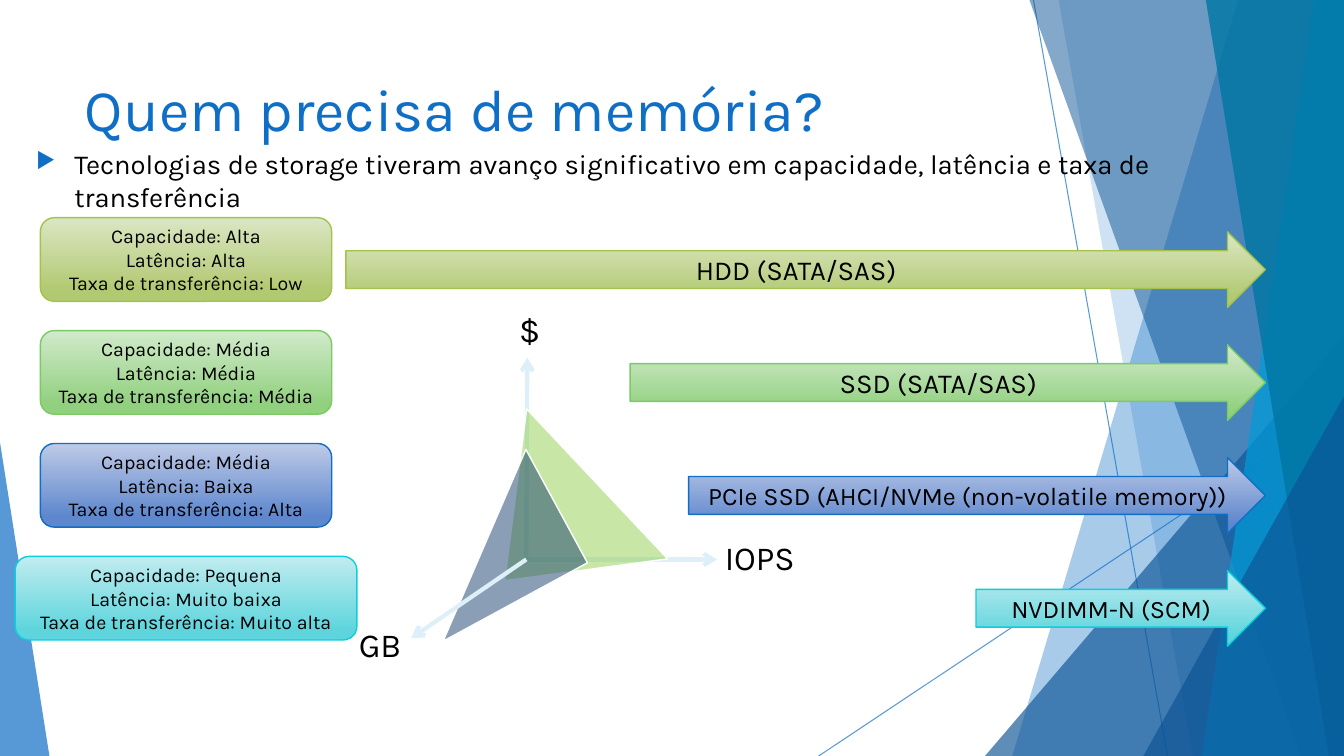
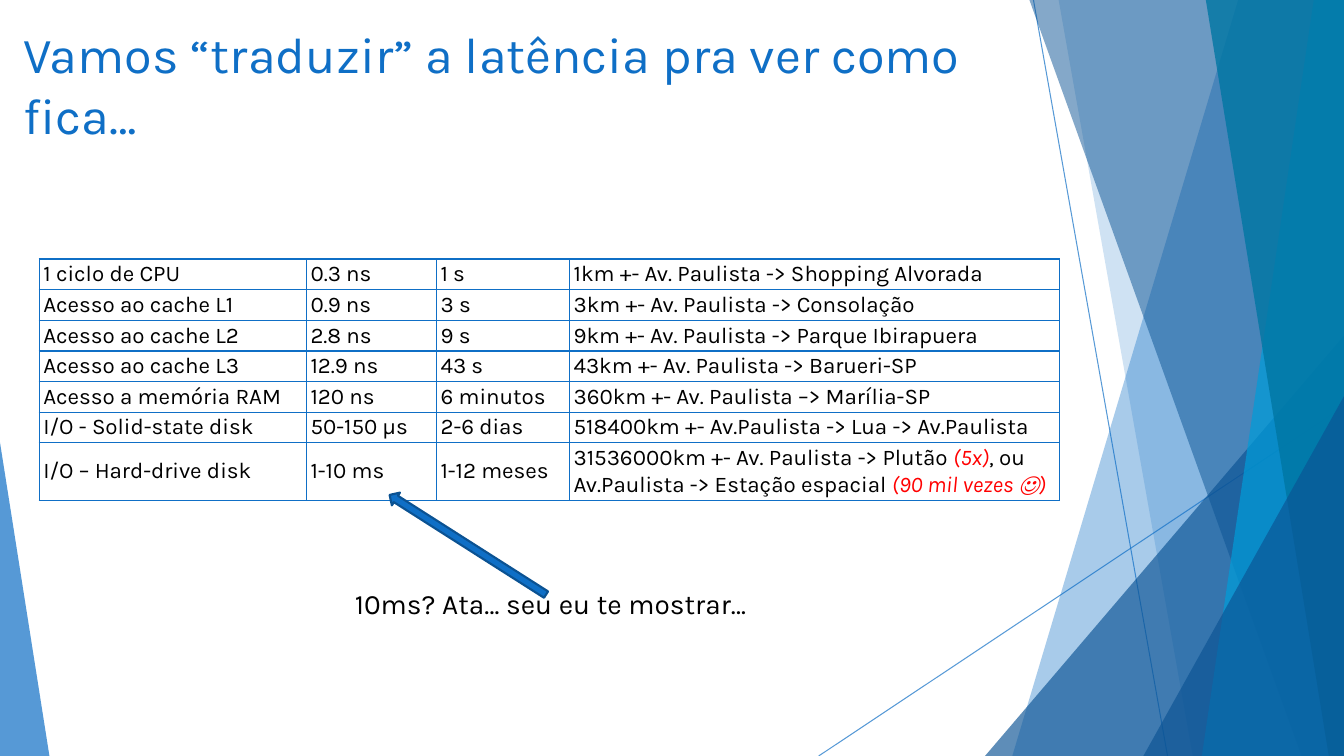
from typing import NamedTuple

from lxml.etree import SubElement
from pptx import Presentation
from pptx.dml.color import RGBColor
from pptx.enum.shapes import MSO_CONNECTOR as Link, MSO_SHAPE as Preset
from pptx.enum.text import MSO_ANCHOR as Anchor, MSO_AUTO_SIZE as AutoSize, PP_ALIGN as Align
from pptx.oxml.ns import qn
from pptx.util import Inches, Pt

CELL = 0.1
COLUMNS, ROWS = 133.3, 75
FONT = "Karla"
COLOURS = {
    "text": "000000", "white": "FFFFFF", "primary": "0F6FC6", "edge": "0B5292",
    "deep": "0B5394", "sky": "009DD9", "teal": "0076A3", "axis": "DDF0F9",
    "lime": "92D050", "navy": "17406D", "aside": "FF0000",
}
TIER_COLOURS = [
    ("DBE6C4", "B1C970", "A5C249"),
    ("D1EACB", "91D07F", "7CCA62"),
    ("BECAE7", "5E87CD", "0F6FC6"),
    ("C1ECEF", "5ED5DD", "0BD0D9"),
]
TIERS = [
    ("HDD (SATA/SAS)", 19.6, 34.3, (4, 28.9), ("Alta", "Alta", "Low")),
    ("SSD (SATA/SAS)", 19.6, 62.5, (4, 28.9), ("Média", "Média", "Média")),
    ("PCIe SSD (AHCI/NVMe (non-volatile memory))", 18, 68.3, (4, 28.9),
     ("Média", "Baixa", "Alta")),
    ("NVDIMM-N (SCM)", 18, 96.8, (1.5, 33.9), ("Pequena", "Muito baixa", "Muito alta")),
]
TRAITS = ("Capacidade", "Latência", "Taxa de transferência")
LATENCIES = [
    ("1 ciclo de CPU", "0.3 ns", "1 s", ["1km +- Av. Paulista -> Shopping Alvorada"]),
    ("Acesso ao cache L1", "0.9 ns", "3 s", ["3km +- Av. Paulista -> Consolação"]),
    ("Acesso ao cache L2", "2.8 ns", "9 s", ["9km +- Av. Paulista -> Parque Ibirapuera"]),
    ("Acesso ao cache L3", "12.9 ns", "43 s", ["43km +- Av. Paulista -> Barueri-SP"]),
    ("Acesso a memória RAM", "120 ns", "6 minutos", ["360km +- Av. Paulista –> Marília-SP"]),
    ("I/O - Solid-state disk", "50-150 μs", "2-6 dias",
     ["518400km +- Av.Paulista -> Lua -> Av.Paulista"]),
    ("I/O – Hard-drive disk", "1-10 ms", "1-12 meses",
     ["31536000km +- Av. Paulista -> Plutão ", "(5x)",
      ", ou Av.Paulista -> Estação espacial ", "(90 mil vezes ☺)"]),
]


class Box(NamedTuple):
    """A region measured in grid columns and rows."""
    left: float
    top: float
    width: float
    height: float

    def inner(self, left, top, width, height):
        """Return a box placed relative to this one."""
        return Box(self.left + left, self.top + top, width, height)

    def emu(self):
        """Return the four lengths for python-pptx."""
        return [grid(length) for length in self]


def grid(cells):
    """Turn grid cells into a length."""
    return Inches(cells * CELL)


def rgb(name):
    """Look up a palette name, or accept a hex string."""
    return RGBColor.from_string(COLOURS.get(name, name))


def fade(holder, percent):
    """Set the opacity of the solid fill inside an element."""
    colour = holder.find(qn("a:solidFill")).find(qn("a:srgbClr"))
    SubElement(colour, qn("a:alpha")).set("val", str(percent * 1000))


def style_font(paragraph, size, colour="text"):
    """Give a paragraph the deck's typeface."""
    font = paragraph.font
    font.name, font.size, font.color.rgb = FONT, Pt(size), rgb(colour)


def write(frame, lines, size, align=Align.LEFT, anchor=Anchor.TOP, colour="text"):
    """Fill a text frame with equally styled lines."""
    frame.word_wrap, frame.vertical_anchor = True, anchor
    frame.text = "\n".join(lines)
    for paragraph in frame.paragraphs:
        paragraph.alignment = align
        style_font(paragraph, size, colour)


def add_label(slide, box, text, size):
    """Place a plain text box."""
    write(slide.shapes.add_textbox(*box.emu()).text_frame, [text], size)


def paint(shape, colour, opacity=100, line=None, width=1):
    """Give a shape a flat fill and an optional outline."""
    shape.shadow.inherit = False
    shape.fill.solid()
    shape.fill.fore_color.rgb = rgb(colour)
    fade(shape.element.spPr, opacity)
    if line:
        shape.line.color.rgb, shape.line.width = rgb(line), Pt(width)
    else:
        shape.line.fill.background()


def add_triangle(slide, box, apex, colour, opacity, line=None, rotation=0):
    """Place a translucent triangle whose apex sits at a share of its width."""
    triangle = slide.shapes.add_shape(Preset.ISOSCELES_TRIANGLE, *box.emu())
    triangle.adjustments[0], triangle.rotation = apex, rotation
    paint(triangle, colour, opacity, line)


def add_band(slide, top_left, bottom_left, colour, opacity):
    """Place a slanted band that reaches the right edge of the slide."""
    start, *corners = [(grid(x), grid(y)) for x, y in (
        (top_left, 0), (COLUMNS, 0), (COLUMNS, ROWS), (bottom_left, ROWS))]
    builder = slide.shapes.build_freeform(*start, scale=1.0)
    builder.add_line_segments(corners, close=True)
    paint(builder.convert_to_shape(), colour, opacity)


def add_line(slide, start, end, colour, width, opacity=100, arrow=False):
    """Draw a straight line, with an arrowhead if wanted."""
    line = slide.shapes.add_connector(Link.STRAIGHT, *map(grid, (*start, *end)))
    line.line.color.rgb, line.line.width = rgb(colour), Pt(width)
    outline = line.element.spPr.find(qn("a:ln"))
    fade(outline, opacity)
    if arrow:
        SubElement(outline, qn("a:tailEnd")).set("type", "arrow")
    SubElement(line.element.spPr, qn("a:effectLst"))


def build_backdrop(slide, layout):
    """Draw the facets and hand them to the layout that the slides share."""
    for start, end in (((102.5, 0), (115.8, ROWS)), ((COLUMNS, 40.3), (81.2, ROWS))):
        add_line(slide, start, end, "primary", 0.75, 70)
    add_band(slide, 122.8, 100.4, "primary", 36)
    add_band(slide, 105, 118.3, "primary", 20)
    add_triangle(slide, Box(97.7, 33.3, 35.6, 41.7), 1, "deep", 66)
    add_band(slide, 102.1, 129.1, "deep", 50)
    add_band(slide, 130.3, 119.2, "sky", 70)
    add_band(slide, 119.6, 131.8, "teal", 80)
    add_triangle(slide, Box(113.4, 39.3, 19.9, 35.7), 1, "deep", 66)
    add_triangle(slide, Box(0, 43.9, 4.9, 31.1), 0, "primary", 70)
    for facet in list(slide.shapes):
        if not facet.is_placeholder:
            layout.shapes.element.append(facet.element)


def place_title(slide, box, text, size):
    """Move and format the title placeholder."""
    title = slide.shapes.title
    title.left, title.top, title.width, title.height = box.emu()
    title.text_frame.auto_size = AutoSize.NONE
    write(title.text_frame, [text], size, colour="primary")


def place_bullet(slide, box, text):
    """Place the introductory line with its arrow bullet."""
    frame = slide.shapes.add_textbox(*box.emu()).text_frame
    frame.text = text
    properties = frame.paragraphs[0]._p.get_or_add_pPr()
    properties.set("marL", str(grid(3.8)))
    properties.set("indent", str(-grid(3.8)))
    tint = SubElement(properties, qn("a:buClr"))
    SubElement(tint, qn("a:srgbClr")).set("val", COLOURS["primary"])
    SubElement(properties, qn("a:buSzPct")).set("val", "80000")
    SubElement(properties, qn("a:buChar")).set("char", "▶")
    frame.word_wrap = True
    style_font(frame.paragraphs[0], 19.6)


def add_gradient_shape(slide, preset, box, colours, lines, size):
    """Place a shape with a downward gradient and centred text."""
    light, dark, edge = colours
    shape = slide.shapes.add_shape(preset, *box.emu())
    shape.shadow.inherit = False
    shape.fill.gradient()
    shape.fill.gradient_angle = 270
    for stop, colour, position in zip(shape.fill.gradient_stops, (light, dark), (0, 0.88)):
        stop.color.rgb, stop.position = rgb(colour), position
    shape.line.color.rgb, shape.line.width = rgb(edge), Pt(1)
    write(shape.text_frame, lines, size, Align.CENTER, Anchor.MIDDLE)


def place_tiers(slide, box):
    """Stack the storage tiers, each an arrow with its traits."""
    pitch = box.height / len(TIERS)
    for index, (tier, colours) in enumerate(zip(TIERS, TIER_COLOURS)):
        name, size, arrow_left, (traits_left, traits_width), levels = tier
        row = box.inner(0, index * pitch, box.width, pitch)
        add_gradient_shape(slide, Preset.RIGHT_ARROW,
                           row.inner(arrow_left, 1.4, row.width - arrow_left, 7.5),
                           colours, [name], size)
        add_gradient_shape(slide, Preset.ROUNDED_RECTANGLE,
                           row.inner(traits_left, 0, traits_width, 8.3), colours,
                           [f"{trait}: {level}" for trait, level in zip(TRAITS, levels)], 14)


def place_tradeoff(slide, box):
    """Draw the price, IOPS and capacity axes with two profiles."""
    origin = (box.left + 17.6, box.top + 25.3)

    def axis(dx, dy):
        """Draw one axis out of the origin."""
        add_line(slide, origin, (origin[0] + dx, origin[1] + dy), "axis", 3, arrow=True)

    axis(0.1, -20)
    axis(18.9, 0)
    for text, left, top, width in (("$", 15.9, 0, 4.4), ("GB", 0, 31.2, 7.8),
                                   ("IOPS", 36.3, 22.6, 11.1)):
        add_label(slide, box.inner(left, top, width, 5), text, 24)
    add_triangle(slide, box.inner(14.3, 9.8, 16.3, 16.6), 0.27, "lime", 50, "white", 352.4)
    add_triangle(slide, box.inner(5.3, 17.5, 16.3, 12.8), 1, "navy", 50, "white", 331.5)
    axis(-11.4, 7.8)


def fill_cell(cell, segments):
    """Write a bordered cell, every second segment as a red aside."""
    properties = cell._tc.get_or_add_tcPr()
    for side in ("lnL", "lnR", "lnT", "lnB"):
        border = SubElement(properties, qn(f"a:{side}"), w=str(Pt(1)))
        SubElement(SubElement(border, qn("a:solidFill")), qn("a:srgbClr")).set(
            "val", COLOURS["primary"])
    cell.fill.background()
    cell.vertical_anchor = Anchor.MIDDLE
    cell.margin_left = cell.margin_right = grid(0.4)
    cell.margin_top = cell.margin_bottom = grid(0.2)
    paragraph = cell.text_frame.paragraphs[0]
    style_font(paragraph, 16)
    for index, segment in enumerate(segments):
        run = paragraph.add_run()
        run.text = segment
        if index % 2:
            run.font.italic, run.font.color.rgb = True, rgb("aside")


def place_latencies(slide, box):
    """Place the latency table."""
    table = slide.shapes.add_table(len(LATENCIES), 4, *box.emu()).table
    table.first_row = table.horz_banding = False
    for column, width in zip(table.columns, (26.5, 12.9, 13.2, 48.6)):
        column.width = grid(width)
    for row, values in zip(table.rows, LATENCIES):
        row.height = grid(3.04 if len(values[-1]) == 1 else 5.7)
        for cell, value in zip(row.cells, values):
            fill_cell(cell, [value] if isinstance(value, str) else value)


def place_remark(slide, box):
    """Place the closing remark and the arrow towards the table."""
    pointer = slide.shapes.add_shape(Preset.LEFT_ARROW, *box.inner(3, 0, 18.4, 1.5).emu())
    pointer.rotation = 32.5
    paint(pointer, "primary", line="edge", width=1.5)
    add_label(slide, box.inner(0, 4.4, box.width, 4.4), "10ms? Ata… seu eu te mostrar…", 20)


def build_memory_slide(slide):
    """Build the slide on storage technologies."""
    place_bullet(slide, Box(2.6, 14.1, 127.4, 4.9),
                 "Tecnologias de storage tiveram avanço significativo em capacidade, "
                 "latência e taxa de transferência")
    place_title(slide, Box(7.4, 6.7, 94, 14.4), "Quem precisa de memória?", 42.2)
    place_tiers(slide, Box(0, 21.6, 125.5, 44.8))
    place_tradeoff(slide, Box(34.6, 30.2, 47.4, 36.2))


def build_latency_slide(slide):
    """Build the slide that translates latency into distances."""
    place_title(slide, Box(1.3, 1.8, 101.2, 14.4),
                "Vamos “traduzir” a latência pra ver como fica…", 36)
    place_latencies(slide, Box(3.9, 25.7, 101.2, 23.9))
    place_remark(slide, Box(34.2, 53.3, 43.5, 8.8))


def main():
    """Build and save the deck."""
    deck = Presentation()
    deck.slide_width, deck.slide_height = grid(COLUMNS), grid(ROWS)
    layout = deck.slide_layouts[5]
    memory, latency = (deck.slides.add_slide(layout) for _ in range(2))
    build_backdrop(memory, layout)
    build_memory_slide(memory)
    build_latency_slide(latency)
    deck.save("out.pptx")


if __name__ == "__main__":
    main()
